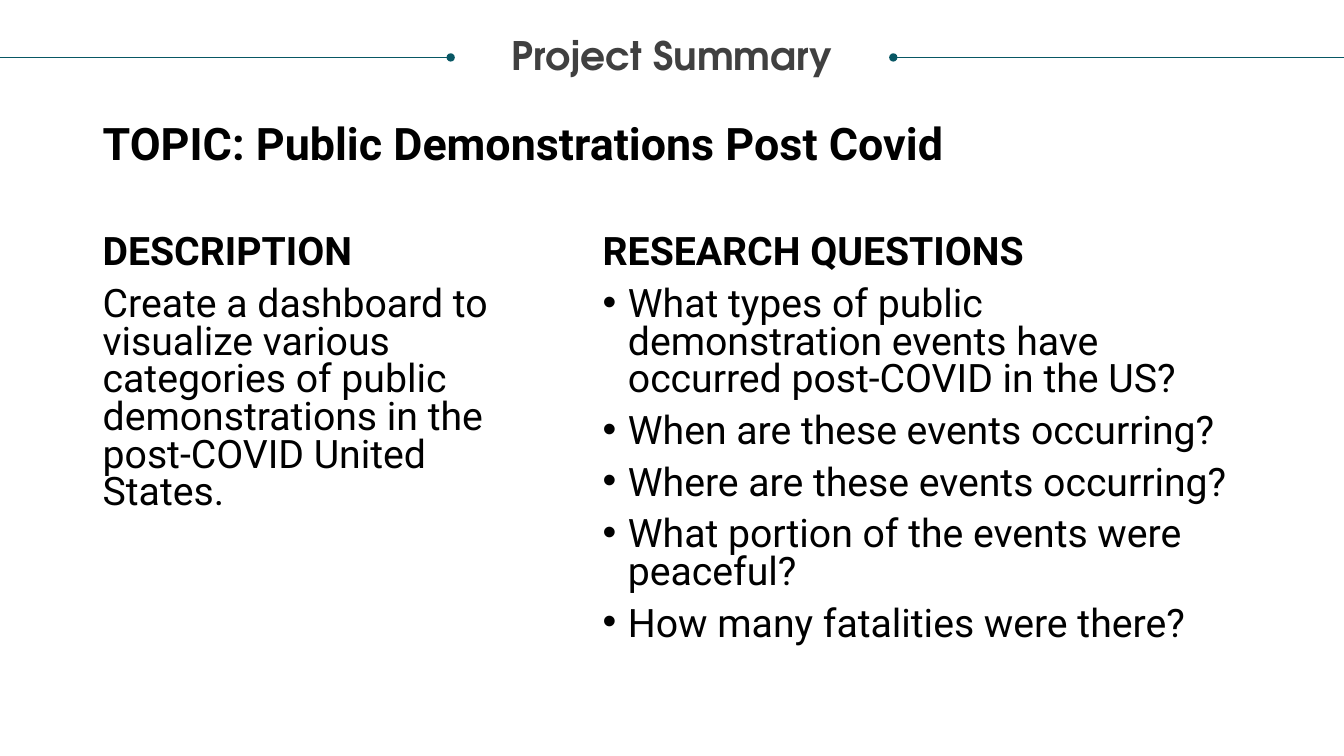
from lxml import etree
from pptx import Presentation
from pptx import util as u
from pptx.dml.color import RGBColor
from pptx.enum import shapes, text
from pptx.oxml.ns import qn

PX = 9144  # EMU per px, 100 px to the inch
THEME = {
    "ink": RGBColor.from_string("000000"),
    "heading": RGBColor.from_string("404040"),
    "rule": RGBColor.from_string("085764"),
    "body_font": "Roboto",
    "heading_font": "TeX Gyre Adventor",
    "topic_size": 32,
    "size": 28,
}

deck = Presentation()
deck.slide_width, deck.slide_height = 1333 * PX, 750 * PX
slide = deck.slides.add_slide(deck.slide_layouts[6])


def add_text(box, paragraphs, size=THEME["size"], font=THEME["body_font"],
             color=THEME["ink"], spacing=0.9, before=10, inset=(10, 5),
             align=text.PP_ALIGN.LEFT):
    """Each paragraph is (wording, bold, bulleted)."""
    frame = slide.shapes.add_textbox(*(n * PX for n in box)).text_frame
    frame.word_wrap = True
    frame.margin_left = frame.margin_right = inset[0] * PX
    frame.margin_top = frame.margin_bottom = inset[1] * PX
    for i, (wording, bold, bulleted) in enumerate(paragraphs):
        para = frame.add_paragraph() if i else frame.paragraphs[0]
        para.alignment = align
        para.line_spacing = spacing
        para.space_before = u.Pt(before)
        run = para.add_run()
        run.text = wording
        run.font.name = font
        run.font.size = u.Pt(size)
        run.font.bold = bold
        run.font.color.rgb = color
        if bulleted:
            props = para._p.get_or_add_pPr()
            props.set("marL", str(25 * PX))
            props.set("indent", str(-25 * PX))
            etree.SubElement(props, qn("a:buFont"), typeface="Arial")
            etree.SubElement(props, qn("a:buChar"), char="•")


# Description and research questions
add_text((92, 229, 421, 446), [
    ("DESCRIPTION", True, False),
    ("Create a dashboard to visualize various categories of public "
     "demonstrations in the post-COVID United States.", False, False),
], spacing=0.8)

questions = [
    "What types of public demonstration events have occurred post-COVID in the US?",
    "When are these events occurring?",
    "Where are these events occurring?",
    "What portion of the events were peaceful?",
    "How many fatalities were there?",
]
add_text((588, 229, 654, 446),
         [("RESEARCH QUESTIONS", True, False)]
         + [(question, False, True) for question in questions],
         spacing=0.8)

# Rules either side of the heading, dotted at their inner ends
for start, end, dotted_end in ((0, 447, "a:tailEnd"), (886, 1333, "a:headEnd")):
    rule = slide.shapes.add_connector(
        shapes.MSO_CONNECTOR.STRAIGHT, start * PX, 57 * PX, end * PX, 57 * PX)
    rule.line.color.rgb = THEME["rule"]
    rule.line.width = u.Pt(0.5)
    etree.SubElement(rule.line._get_or_add_ln(), qn(dotted_end), type="oval")
    etree.SubElement(rule._element.spPr, qn("a:effectLst"))

# Topic
add_text((92, 116, 1150, 74),
         [("TOPIC: Public Demonstrations Post Covid", True, False)],
         size=THEME["topic_size"])

# Heading
add_text((25, 36, 1283, 42), [("Project Summary", True, False)],
         font=THEME["heading_font"], color=THEME["heading"],
         before=0, inset=(0, 0), align=text.PP_ALIGN.CENTER)

deck.save("out.pptx")
